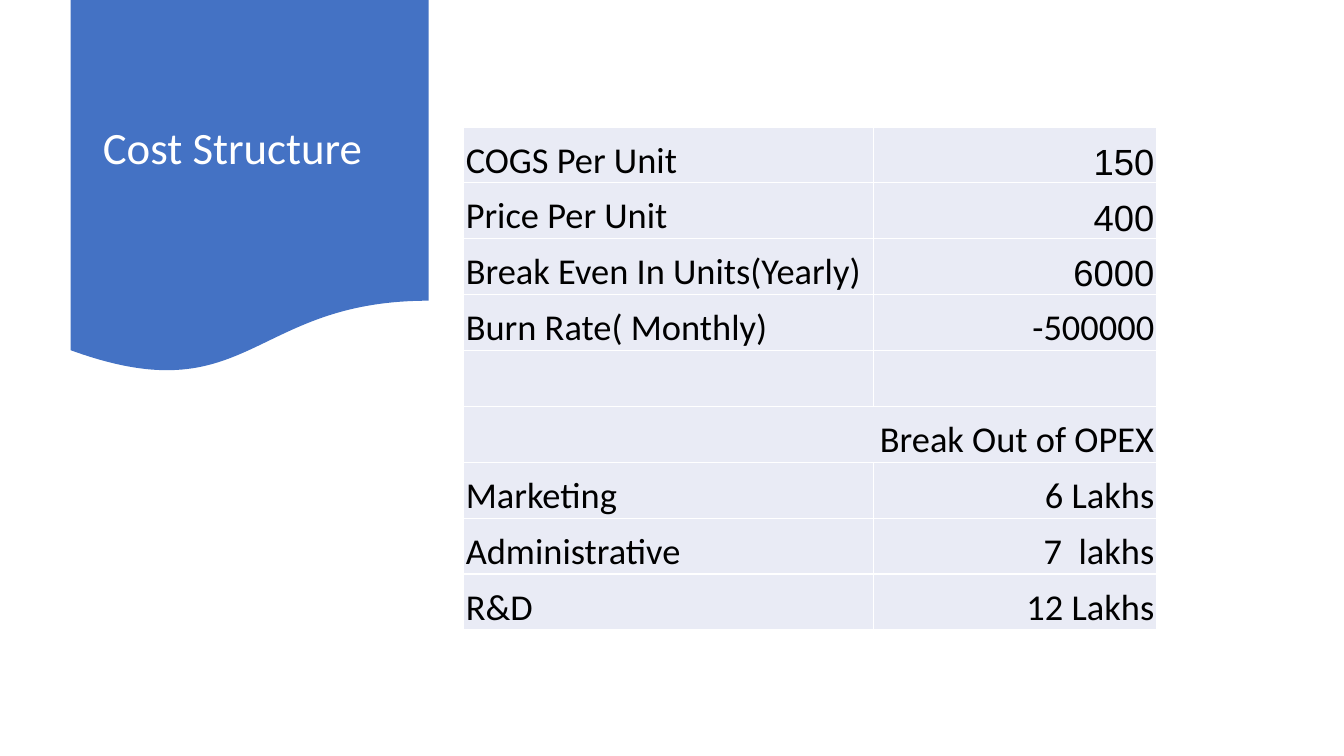
from lxml import etree
from pptx import Presentation
from pptx.dml.color import RGBColor
from pptx.enum import shapes, text
from pptx.oxml import ns
from pptx.util import Inches, Pt

COLORS = {"banner": "4472C4", "cell": "E9EBF5", "border": "FFFFFF",
          "title": "FFFFFF", "text": "000000"}
COST_ROWS = [
    ("COGS Per Unit", "150", "Arial"),
    ("Price Per Unit", "400", "Arial"),
    ("Break Even In Units(Yearly)", "6000", "Arial"),
    ("Burn Rate( Monthly)", "-500000", "Arial"),
    ("", "", "Calibri"),
    ("Break Out of OPEX", None, "Calibri"),
    ("Marketing", "6 Lakhs", "Calibri"),
    ("Administrative", "7  lakhs", "Calibri"),
    ("R&D", "12 Lakhs", "Calibri"),
]
COST_ROWS[3] = COST_ROWS[3][:2] + ("Calibri",)


def color(name):
    """Return the named colour."""
    return RGBColor.from_string(COLORS[name])


def add_run(paragraph, words, size, font_name, color_name):
    """Add one formatted run to a paragraph."""
    run = paragraph.add_run()
    run.text = words
    run.font.size = Pt(size)
    run.font.name = font_name
    run.font.color.rgb = color(color_name)


def add_banner(slide, left, top, width, height):
    """Draw the wavy banner with the slide title on it."""
    banner = slide.shapes.add_shape(
        shapes.MSO_SHAPE.FLOWCHART_DOCUMENT,
        Inches(left), Inches(top), Inches(width), Inches(height))
    banner.shadow.inherit = False
    banner.fill.solid()
    banner.fill.fore_color.rgb = color("banner")
    banner.line.fill.background()

    title = slide.shapes.title
    banner.element.addnext(title.element)
    title.left, title.top = Inches(left + 0.22), Inches(top + 0.19)
    title.width, title.height = Inches(width - 0.44), Inches(2.59)
    frame = title.text_frame
    frame.word_wrap = True
    frame.vertical_anchor = text.MSO_ANCHOR.MIDDLE
    paragraph = frame.paragraphs[0]
    paragraph.alignment = text.PP_ALIGN.LEFT
    paragraph.line_spacing = 0.9
    add_run(paragraph, "Cost Structure", 32, "Calibri", "title")


def format_cell(cell):
    """Give a table cell its borders, fill, margins and anchor."""
    properties = cell._tc.get_or_add_tcPr()
    for side in ("lnL", "lnR", "lnT", "lnB"):
        line = etree.SubElement(properties, ns.qn(f"a:{side}"), w=str(Pt(1)))
        fill = etree.SubElement(line, ns.qn("a:solidFill"))
        etree.SubElement(fill, ns.qn("a:srgbClr"), val=COLORS["border"])
    cell.fill.solid()
    cell.fill.fore_color.rgb = color("cell")
    cell.margin_left = cell.margin_right = cell.margin_top = Inches(0.02)
    cell.margin_bottom = 0
    cell.vertical_anchor = text.MSO_ANCHOR.BOTTOM


def write_cell(cell, words, font_name, alignment):
    """Write the text of one table cell."""
    paragraph = cell.text_frame.paragraphs[0]
    paragraph.alignment = alignment
    if words:
        add_run(paragraph, words, 26, font_name, "text")


def add_cost_table(slide, left, top, width, height):
    """Draw the table of unit costs and operating expenses."""
    table = slide.shapes.add_table(
        len(COST_ROWS), 2, Inches(left), Inches(top),
        Inches(width), Inches(height)).table
    table.first_row = table.horz_banding = False
    label_width = 4.06
    table.columns[0].width = Inches(label_width)
    table.columns[1].width = Inches(width - label_width)
    for cell in table.iter_cells():
        format_cell(cell)
    for row, (label, value, value_font) in enumerate(COST_ROWS):
        label_cell, value_cell = table.cell(row, 0), table.cell(row, 1)
        if value is None:
            label_cell.merge(value_cell)
            write_cell(label_cell, label, "Calibri", text.PP_ALIGN.RIGHT)
        else:
            write_cell(label_cell, label, "Calibri", text.PP_ALIGN.LEFT)
            write_cell(value_cell, value, value_font, text.PP_ALIGN.RIGHT)


def main():
    """Build and save the cost structure slide."""
    presentation = Presentation()
    presentation.slide_width = Inches(13.33)
    presentation.slide_height = Inches(7.5)
    slide = presentation.slides.add_slide(presentation.slide_layouts[5])
    add_banner(slide, 0.7, 0, 3.55, 3.72)
    add_cost_table(slide, 4.6, 1.26, 6.87, 4.99)
    presentation.save("out.pptx")


if __name__ == "__main__":
    main()
